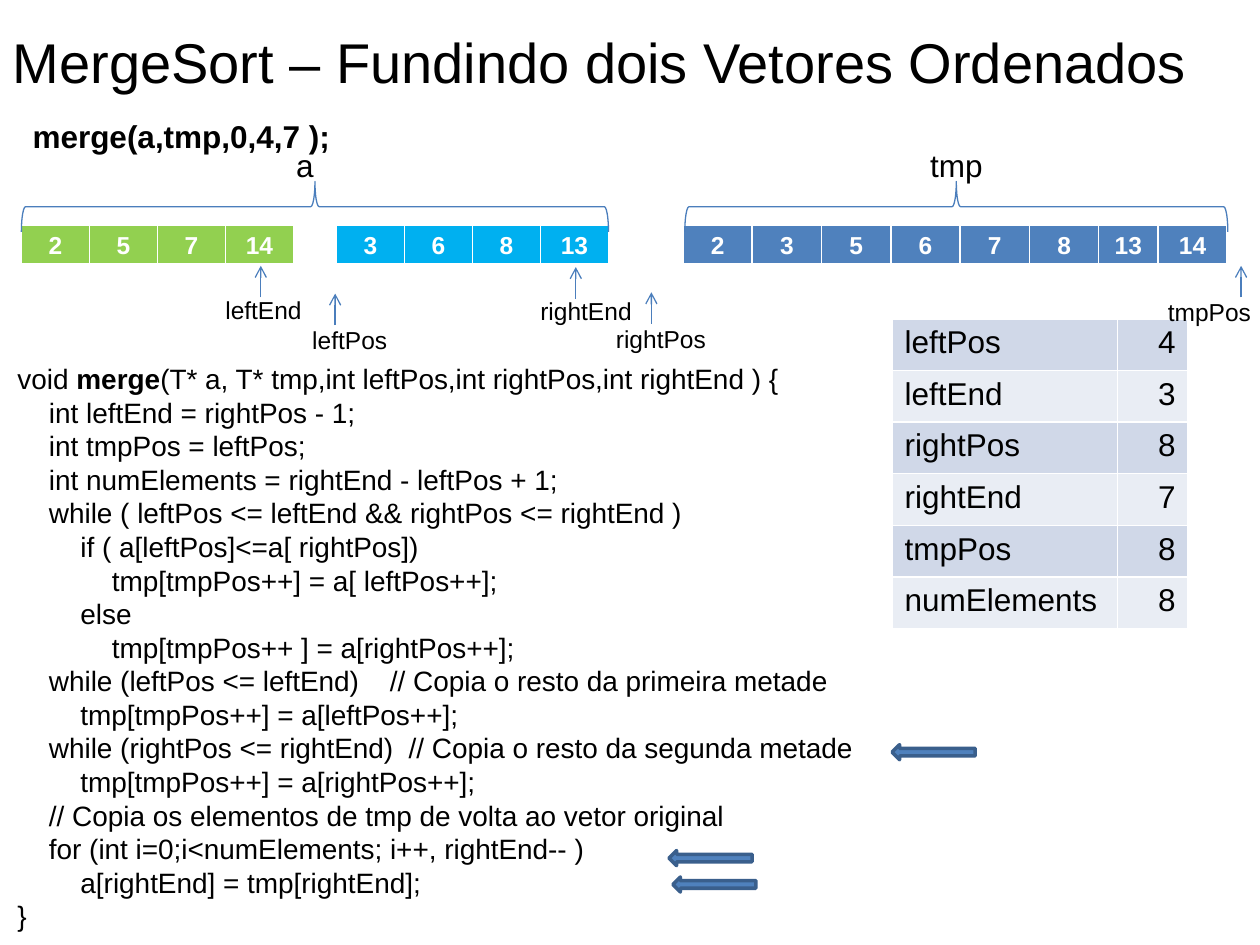
"""Build the MergeSort slide about merging two sorted arrays."""
from dataclasses import dataclass

from lxml import etree
from pptx import Presentation
from pptx.dml.color import RGBColor
from pptx.enum.shapes import MSO_CONNECTOR, MSO_SHAPE
from pptx.enum.text import MSO_ANCHOR, MSO_AUTO_SIZE, PP_ALIGN
from pptx.oxml.ns import qn
from pptx.util import Inches, Pt

LEFT, MID, RIGHT = PP_ALIGN.LEFT, PP_ALIGN.CENTER, PP_ALIGN.RIGHT
TOP = MSO_ANCHOR.TOP
NO_FIT = MSO_AUTO_SIZE.NONE
BRACE, ARROW = MSO_SHAPE.RIGHT_BRACE, MSO_SHAPE.LEFT_ARROW
STRAIGHT = MSO_CONNECTOR.STRAIGHT


@dataclass(frozen=True)
class Theme:
    font: str = "Arial"
    black: str = "000000"
    white: str = "FFFFFF"
    blue: str = "4F81BD"
    green: str = "92D050"
    cyan: str = "00B0F0"
    line: str = "4B7EBC"
    edge: str = "3A5F8C"
    bands: tuple = ("D0D8E8", "E9EDF4")
    title: int = 32
    body: int = 18
    code: int = 16
    small: int = 14
    lead: float = 19.2


THEME = Theme()

CODE = (
    (0, "void |merge|(T* a, T* tmp,int leftPos,int rightPos,int rightEnd ) {"),
    (1, "int leftEnd = rightPos - 1;"),
    (1, "int tmpPos = leftPos;"),
    (1, "int numElements = rightEnd - leftPos + 1;"),
    (1, "while ( leftPos <= leftEnd && rightPos <= rightEnd )"),
    (2, "if ( a[leftPos]<=a[ rightPos])"),
    (3, "tmp[tmpPos++] = a[ leftPos++];"),
    (2, "else"),
    (3, "tmp[tmpPos++ ] = a[rightPos++];"),
    (1, "while (leftPos <= leftEnd)    // Copia o resto da primeira metade"),
    (2, "tmp[tmpPos++] = a[leftPos++];"),
    (1, "while (rightPos <= rightEnd)  // Copia o resto da segunda metade"),
    (2, "tmp[tmpPos++] = a[rightPos++];"),
    (1, "// Copia os elementos de tmp de volta ao vetor original"),
    (1, "for (int i=0;i<numElements; i++, rightEnd-- )"),
    (2, "a[rightEnd] = tmp[rightEnd];"),
    (0, "}"),
)
ARRAYS = (
    (5.42, THEME.blue, (2, 3, 5, 6, 7, 8, 13, 14), [0.55] * 6 + [0.47, 0.55]),
    (0.17, THEME.green, (2, 5, 7, 14), [0.54] * 4),
    (2.67, THEME.cyan, (3, 6, 8, 13), [0.54] * 4),
)
VALUES = (("leftPos", 4), ("leftEnd", 3), ("rightPos", 8),
          ("rightEnd", 7), ("tmpPos", 8), ("numElements", 8))
BRACES = (("a", 2.5, 4.66, 2.42), ("tmp", 7.59, 4.31, 7.59))
MARKS = (("leftPos", 2.66, 2.33, 2.38, 2.53),
         ("leftEnd", 2.07, 2.11, 1.69, 2.29),
         ("rightPos", 5.17, 2.32, 4.79, 2.52),
         ("rightEnd", 4.57, 2.12, 4.19, 2.3),
         ("tmpPos", 9.85, 2.11, 9.17, 2.31))
STEPS = ((7.08, 5.91), (5.31, 6.75), (5.34, 6.96))


def rgb(code):
    """Turn a hex code into a colour."""
    return RGBColor.from_string(code)


def style(para, size, color=THEME.black, bold=False, align=LEFT):
    """Format a paragraph and its runs."""
    para.alignment = align
    for run in para.runs:
        font = run.font
        font.name, font.size, font.bold = THEME.font, Pt(size), bold
        font.color.rgb = rgb(color)


def label(slide, text, x, y, w, h, size, **look):
    """Add a one-line text box."""
    frame = slide.shapes.add_textbox(
        Inches(x), Inches(y), Inches(w), Inches(h)).text_frame
    frame.word_wrap = True
    frame.text = text
    style(frame.paragraphs[0], size, **look)


def heading(slide, text):
    """Fill and place the title."""
    title = slide.shapes.title
    title.left, title.top = Inches(0), Inches(0.17)
    title.width, title.height = Inches(9.59), Inches(0.64)
    frame = title.text_frame
    frame.text = text
    frame.word_wrap, frame.auto_size = False, NO_FIT
    frame.vertical_anchor = TOP
    style(frame.paragraphs[0], THEME.title)


def listing(slide):
    """Add the code with indents by depth."""
    frame = slide.shapes.add_textbox(
        Inches(0.04), Inches(2.82), Inches(9.58), Inches(4.68)).text_frame
    frame.word_wrap = True
    for row, (depth, text) in enumerate(CODE):
        para = frame.add_paragraph() if row else frame.paragraphs[0]
        parts = text.split("|") if not row else [text]
        for part in parts:
            para.add_run().text = part
        style(para, THEME.code)
        para.line_spacing = Pt(THEME.lead)
        para._p.get_or_add_pPr().set("marL", str(Inches(0.25 * depth)))
    frame.paragraphs[0].runs[1].font.bold = True


def borders(frame, base):
    """Draw white cell borders with a given bottom width."""
    for props in frame.element.iter(qn("a:tcPr")):
        for spot, (side, width) in enumerate(
                (("lnL", 1), ("lnR", 1), ("lnT", 1), ("lnB", base))):
            line = etree.Element(qn("a:" + side), w=str(Pt(width)))
            fill = etree.SubElement(line, qn("a:solidFill"))
            etree.SubElement(fill, qn("a:srgbClr"), val=THEME.white)
            props.insert(spot, line)


def grid(slide, rows, x, y, widths, height, fills, base, looks):
    """Add a table with a fill per row and a look per column."""
    frame = slide.shapes.add_table(
        len(rows), len(widths), Inches(x), Inches(y),
        Inches(sum(widths)), Inches(height * len(rows)))
    table = frame.table
    for col, width in zip(table.columns, widths):
        col.width = Inches(width)
    for r, row in enumerate(rows):
        for c, value in enumerate(row):
            cell = table.cell(r, c)
            cell.fill.solid()
            cell.fill.fore_color.rgb = rgb(fills[r % len(fills)])
            cell.text = str(value)
            style(cell.text_frame.paragraphs[0], **looks[c])
    borders(frame, base)


def brace(slide, text, x, span, mid):
    """Add an upward brace and its name."""
    shape = slide.shapes.add_shape(
        BRACE, Inches(x - 0.2), Inches(1.64 - span / 2),
        Inches(0.4), Inches(span))
    shape.rotation = 270
    shape.shadow.inherit = False
    shape.fill.background()
    shape.line.color.rgb = rgb(THEME.line)
    shape.line.width = Pt(0.75)
    label(slide, text, mid - 0.5, 1.11, 1, 0.4, THEME.body, align=MID)


def mark(slide, text, x, tip, left, top):
    """Add an upward arrow and its index name."""
    line = slide.shapes.add_connector(
        STRAIGHT, Inches(x), Inches(tip + 0.25), Inches(x), Inches(tip))
    line.line.color.rgb = rgb(THEME.line)
    line.line.width = Pt(0.75)
    props = line.element.spPr
    etree.SubElement(props.find(qn("a:ln")), qn("a:tailEnd"), type="arrow")
    etree.SubElement(props, qn("a:effectLst"))
    label(slide, text, left, top, 1.03, 0.34, THEME.small)


def step(slide, x, y):
    """Add a block arrow beside a code line."""
    shape = slide.shapes.add_shape(
        ARROW, Inches(x), Inches(y), Inches(0.66), Inches(0.12))
    shape.shadow.inherit = False
    shape.fill.solid()
    shape.fill.fore_color.rgb = rgb(THEME.blue)
    shape.line.color.rgb = rgb(THEME.edge)
    shape.line.width = Pt(2)


def main():
    """Build and save the slide."""
    deck = Presentation()
    deck.slide_width, deck.slide_height = Inches(10), Inches(7.5)
    slide = deck.slides.add_slide(deck.slide_layouts[5])
    head = dict(size=THEME.small, color=THEME.white, bold=True, align=MID)
    for x, fill, items, widths in ARRAYS:
        grid(slide, [items], x, 1.79, widths, 0.31, [fill], 3,
             [head] * len(items))
    heading(slide, "MergeSort – Fundindo dois Vetores Ordenados")
    listing(slide)
    label(slide, "merge(a,tmp,0,4,7 );", 0.16, 0.88, 5.11, 0.4,
          THEME.body, bold=True)
    for item in BRACES:
        brace(slide, *item)
    grid(slide, VALUES, 7.08, 2.53, [1.79, 0.56], 0.41, THEME.bands, 1,
         [dict(size=THEME.body), dict(size=THEME.body, align=RIGHT)])
    for item in MARKS:
        mark(slide, *item)
    for spot in STEPS:
        step(slide, *spot)
    deck.save("out.pptx")


main()
